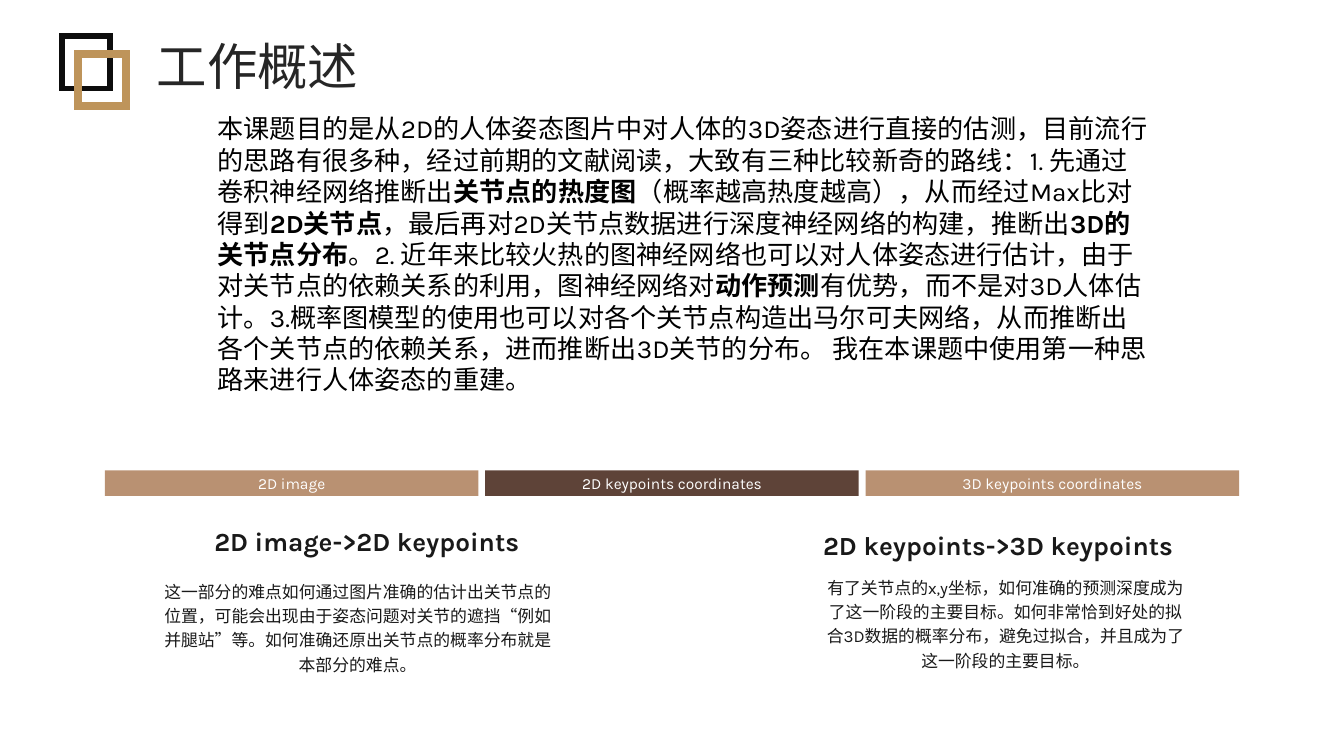
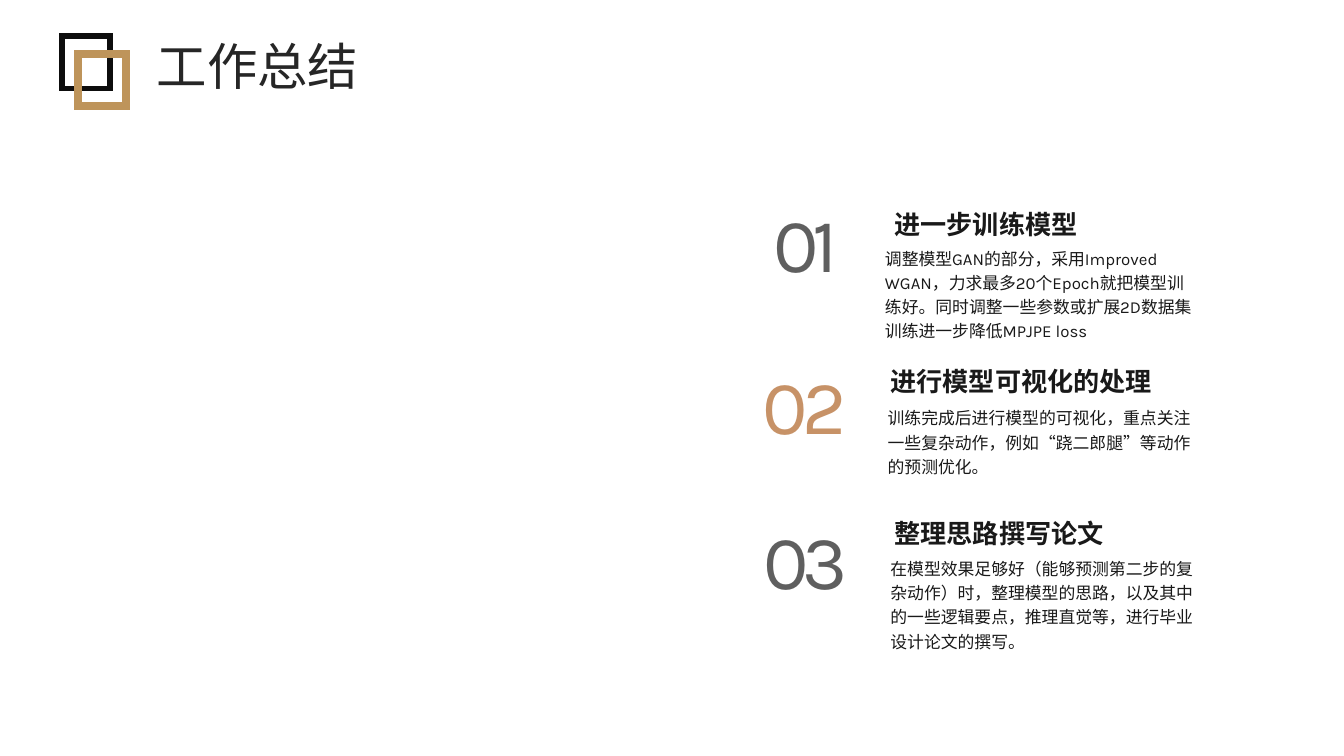
from lxml import etree
from pptx import Presentation
from pptx.dml.color import RGBColor
from pptx.enum.lang import MSO_LANGUAGE_ID
from pptx.enum.shapes import MSO_SHAPE
from pptx.enum.text import MSO_ANCHOR, MSO_AUTO_SIZE, PP_ALIGN
from pptx.oxml.ns import qn
from pptx.util import Inches, Pt

RECTANGLE = MSO_SHAPE.RECTANGLE
TOP, MIDDLE = MSO_ANCHOR.TOP, MSO_ANCHOR.MIDDLE
LEFT, CENTER = PP_ALIGN.LEFT, PP_ALIGN.CENTER
FIXED, GROW = MSO_AUTO_SIZE.NONE, MSO_AUTO_SIZE.SHAPE_TO_FIT_TEXT
CHINESE = MSO_LANGUAGE_ID.SIMPLIFIED_CHINESE

FONT = "Karla"
COLORS = {
    "title": "262626", "text": "191919", "black": "000000", "white": "FFFFFF",
    "frame_back": "0D0D0D", "frame_front": "BE945A",
    "tan": "B99172", "brown": "5E4338", "gray": "5F5F5F", "copper": "C79267",
}
TIGHT = (Pt(5.4), Pt(2.7))
ROOMY = (Pt(7.2), Pt(3.6))
NOTE = {"size": 9, "color_name": "text", "spacing": 1.2}
HEADING = {"size": 14, "color_name": "text", "bold": True, "wrap": False}
NUMBER = {"size": 41, "align": CENTER, "wrap": False, "tracking": -300}


def color(name):
    return RGBColor.from_string(COLORS[name])


def write(box, parts, size, color_name, *, bold=False, align=LEFT, spacing=1.0,
          wrap=True, anchor=TOP, fit=FIXED, insets=TIGHT, tracking=None):
    """Fill one paragraph; a list alternates between plain and bold parts."""
    frame = box.text_frame
    side, edge = insets
    frame_format = {
        "word_wrap": wrap, "auto_size": fit, "vertical_anchor": anchor,
        "margin_left": side, "margin_right": side,
        "margin_top": edge, "margin_bottom": edge,
    }
    for name, value in frame_format.items():
        setattr(frame, name, value)
    para = frame.paragraphs[0]
    para.alignment, para.line_spacing = align, spacing
    for index, words in enumerate([parts] if isinstance(parts, str) else parts):
        span = para.add_run()
        span.text = words
        font_format = {"name": FONT, "size": Pt(size), "language_id": CHINESE,
                       "bold": bold or index % 2 == 1}
        for name, value in font_format.items():
            setattr(span.font, name, value)
        span.font.color.rgb = color(color_name)
        if tracking is not None:
            span.font._element.set("spc", str(tracking))


deck = Presentation()
deck.slide_width = Inches(10)
deck.slide_height = deck.slide_width * 9 // 16

# Shared title and double frame
pages = []
for title in ("工作概述", "工作总结"):
    page = deck.slides.add_slide(deck.slide_layouts[5])
    box = page.shapes.title
    box.left, box.top = Inches(1.09), Inches(0.22)
    box.width, box.height = Inches(1.91), Inches(0.53)
    write(box, title, 27, "title", fit=GROW)
    for left, top, line_color, weight in (
        (0.46, 0.27, "frame_back", 3),
        (0.58, 0.4, "frame_front", 4.5),
    ):
        square = page.shapes.add_shape(
            RECTANGLE, Inches(left), Inches(top), Inches(0.36), Inches(0.39))
        square.shadow.inherit = False
        square.fill.background()
        square.line.color.rgb = color(line_color)
        square.line.width = Pt(weight)
        outline = square.line._get_or_add_ln()
        etree.SubElement(outline, qn("a:miter"), lim="800000")
    pages.append(page)
overview, summary = pages

# Overview: stages of the pipeline
stages = (
    ("2D image", "tan"),
    ("2D keypoints coordinates", "brown"),
    ("3D keypoints coordinates", "tan"),
)
for index, (label, fill) in enumerate(stages):
    bar = overview.shapes.add_shape(
        RECTANGLE, Inches(0.78 + 2.83 * index), Inches(3.5), Inches(2.78), Inches(0.19))
    bar.shadow.inherit = False
    bar.fill.solid()
    bar.fill.fore_color.rgb = color(fill)
    bar.line.fill.background()
    write(bar, label, 8.3, "white", align=CENTER, anchor=MIDDLE, wrap=False)

introduction = [
    "本课题目的是从2D的人体姿态图片中对人体的3D姿态进行直接的估测，目前流行的思路有很多种，"
    "经过前期的文献阅读，大致有三种比较新奇的路线：1. 先通过卷积神经网络推断出",
    "关节点的热度图",
    "（概率越高热度越高），从而经过Max比对得到",
    "2D关节点",
    "，最后再对2D关节点数据进行深度神经网络的构建，推断出",
    "3D的关节点分布",
    "。2. 近年来比较火热的图神经网络也可以对人体姿态进行估计，由于对关节点的依赖关系的利用，"
    "图神经网络对",
    "动作预测",
    "有优势，而不是对3D人体估计。3.概率图模型的使用也可以对各个关节点构造出马尔可夫网络，"
    "从而推断出各个关节点的依赖关系，进而推断出3D关节的分布。 "
    "我在本课题中使用第一种思路来进行人体姿态的重建。",
]
box = overview.shapes.add_textbox(Inches(1.52), Inches(0.79), Inches(7.15), Inches(2.22))
write(box, introduction, 14, "black", fit=GROW, insets=ROOMY)

# Heading left and top, note left, top and width, then both texts
difficulties = (
    (1.52, 3.87, 1.09, 4.26, 3.14, "2D image->2D keypoints",
     "这一部分的难点如何通过图片准确的估计出关节点的位置，可能会出现由于姿态问题对关节的遮挡"
     "“例如并腿站”等。如何准确还原出关节点的概率分布就是本部分的难点。"),
    (6.05, 3.9, 6.05, 4.23, 2.86, "2D keypoints->3D keypoints",
     "有了关节点的x,y坐标，如何准确的预测深度成为了这一阶段的主要目标。"
     "如何非常恰到好处的拟合3D数据的概率分布，避免过拟合，并且成为了这一阶段的主要目标。"),
)
# Number left, top, width and colour, then heading and note as above
steps = (
    (5.7, 1.42, 0.59, "gray", 6.58, 1.51, 6.51, 1.78, "进一步训练模型",
     "调整模型GAN的部分，采用Improved WGAN，力求最多20个Epoch就把模型训练好。"
     "同时调整一些参数或扩展2D数据集训练进一步降低MPJPE loss"),
    (5.66, 2.63, 0.66, "copper", 6.55, 2.68, 6.53, 2.97, "进行模型可视化的处理",
     "训练完成后进行模型的可视化，重点关注一些复杂动作，例如“跷二郎腿”等动作的预测优化。"),
    (5.66, 3.78, 0.67, "gray", 6.58, 3.81, 6.55, 4.09, "整理思路撰写论文",
     "在模型效果足够好（能够预测第二步的复杂动作）时，整理模型的思路，"
     "以及其中的一些逻辑要点，推理直觉等，进行毕业设计论文的撰写。"),
)

entries = [(overview, CENTER, *difficulty) for difficulty in difficulties]
for number, step in enumerate(steps, 1):
    left, top, width, number_color, head_left, head_top, note_left, note_top, *words = step
    box = summary.shapes.add_textbox(Inches(left), Inches(top), Inches(width), Inches(0.76))
    write(box, f"{number:02}", color_name=number_color, **NUMBER)
    entries.append((summary, LEFT, head_left, head_top, note_left, note_top, 2.46, *words))

for page, align, head_left, head_top, note_left, note_top, width, heading, note in entries:
    box = page.shapes.add_textbox(
        Inches(note_left), Inches(note_top), Inches(width), Inches(0.46))
    write(box, note, align=align, **NOTE)
    box = page.shapes.add_textbox(
        Inches(head_left), Inches(head_top), Inches(1.8), Inches(0.29))
    write(box, heading, **HEADING)

deck.save("out.pptx")
